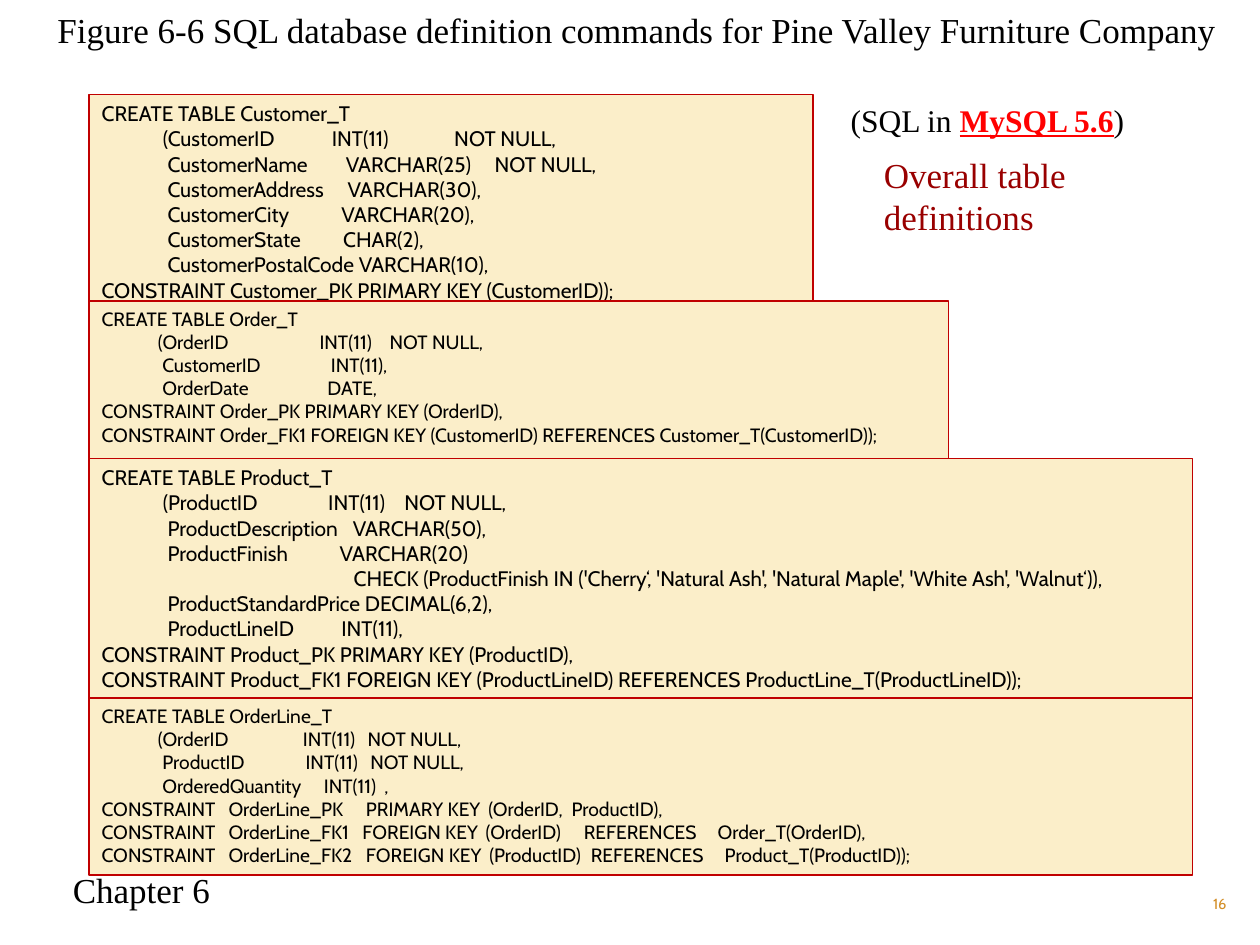
from pptx import Presentation
from pptx.dml.color import RGBColor
from pptx.enum.shapes import MSO_SHAPE
from pptx.enum.text import MSO_ANCHOR, MSO_AUTO_SIZE, PP_ALIGN
from pptx.oxml.ns import qn
from pptx.util import Pt
from lxml.etree import SubElement

COLORS = {
    "black": "000000", "red": "FF0000", "maroon": "990000",
    "amber": "D38E27", "cream": "FBEEC9", "border": "C00000",
}
SERIF, SANS = "Times New Roman", "Cabin"
TITLE = "Figure 6-6 SQL database definition commands for Pine Valley Furniture Company"

# Each line of SQL is followed by its tab stops
CUSTOMER_SQL = [
    ("CREATE TABLE Customer_T",),
    ("             (CustomerID\tINT(11)\tNOT NULL,", 131.5, 201.5),
    ("              CustomerName\tVARCHAR(25)\tNOT NULL,", 139.5, 224.5),
    ("              CustomerAddress\tVARCHAR(30),", 140.5),
    ("              CustomerCity\tVARCHAR(20),", 137),
    ("              CustomerState\tCHAR(2),", 138),
    ("              CustomerPostalCode VARCHAR(10),",),
    ("CONSTRAINT Customer_PK PRIMARY KEY (CustomerID));",),
]
ORDER_SQL = [
    ("CREATE TABLE Order_T",),
    ("             (OrderID\tINT(11)\tNOT NULL,", 124.5, 164.5),
    ("              CustomerID\tINT(11),", 131),
    ("              OrderDate\tDATE,", 129),
    ("CONSTRAINT Order_PK PRIMARY KEY (OrderID),",),
    ("CONSTRAINT Order_FK1 FOREIGN KEY (CustomerID) REFERENCES Customer_T(CustomerID));",),
]
PRODUCT_SQL = [
    ("CREATE TABLE Product_T",),
    ("             (ProductID\tINT(11)\tNOT NULL,", 129.5, 173),
    ("              ProductDescription\tVARCHAR(50),", 143.5),
    ("              ProductFinish\tVARCHAR(20)", 136),
    ("\t\tCHECK (ProductFinish IN ('Cherry‘, 'Natural Ash', 'Natural Maple', "
     "'White Ash', 'Walnut‘)),", 72, 144),
    ("              ProductStandardPrice DECIMAL(6,2),",),
    ("              ProductLineID\tINT(11),", 137),
    ("CONSTRAINT Product_PK PRIMARY KEY (ProductID),",),
    ("CONSTRAINT Product_FK1 FOREIGN KEY (ProductLineID) "
     "REFERENCES ProductLine_T(ProductLineID));",),
]
ORDER_LINE_SQL = [
    ("CREATE TABLE OrderLine_T",),
    ("             (OrderID\tINT(11)\tNOT NULL,", 115, 152),
    ("              ProductID\tINT(11)\tNOT NULL,", 116.5, 153.5),
    ("              OrderedQuantity\tINT(11)\t,", 127, 161.5),
    ("CONSTRAINT\tOrderLine_PK\tPRIMARY KEY\t(OrderID,\tProductID),",
     72.5, 151, 221, 268.5),
    ("CONSTRAINT\tOrderLine_FK1\tFOREIGN KEY\t(OrderID)\tREFERENCES\tOrder_T(OrderID),",
     72.5, 149, 219.5, 275.5, 352),
    ("CONSTRAINT\tOrderLine_FK2\tFOREIGN KEY\t(ProductID)\tREFERENCES\tProduct_T(ProductID));",
     72.5, 151, 221.5, 279.5, 356),
]
# Width, height, text size, SQL; the panels stack without gaps
PANELS = [
    (413.5, 118, 12, CUSTOMER_SQL),
    (491, 90, 11, ORDER_SQL),
    (630.5, 137, 12, PRODUCT_SQL),
    (630.5, 101, 11, ORDER_LINE_SQL),
]
PANEL_LEFT, PANEL_TOP = 51, 54

# Left, top, width, height, paragraph format, runs of (text, size, font, color, emphasis)
LABELS = [
    ((34.5, 493, 93, 32), {"alignment": PP_ALIGN.LEFT},
     [("Chapter 6", 20, SERIF, "black", False)]),
    ((648, 510, 60, 19.5), {"alignment": PP_ALIGN.RIGHT, "line_spacing": 0.8},
     [("16", 8.4, SANS, "amber", False)]),
    ((498, 84, 150, 55.5), {"alignment": PP_ALIGN.LEFT},
     [("Overall table definitions", 20, SERIF, "maroon", False)]),
    ((477.5, 54, 172, 29), {"alignment": PP_ALIGN.RIGHT},
     [("(SQL in ", 18, SERIF, "black", False),
      ("MySQL 5.6", 18, SERIF, "red", True),
      (")", 18, SERIF, "black", False)]),
]


def rgb(name):
    return RGBColor.from_string(COLORS[name])


def set_attributes(target, values):
    for name, value in values.items():
        setattr(target, name, value)


def prepare_frame(frame):
    set_attributes(frame, {
        "word_wrap": True, "auto_size": MSO_AUTO_SIZE.NONE,
        "vertical_anchor": MSO_ANCHOR.TOP,
        "margin_left": Pt(7.2), "margin_right": Pt(7.2),
        "margin_top": Pt(3.6), "margin_bottom": Pt(3.6),
    })


def add_run(paragraph, text, size, font, color, emphasis=False):
    run = paragraph.add_run()
    run.text = text
    set_attributes(run.font, {"size": Pt(size), "name": font,
                              "bold": emphasis, "underline": emphasis})
    run.font.color.rgb = rgb(color)


def add_tab_stops(paragraph, stops):
    if stops:
        tab_list = SubElement(paragraph._p.get_or_add_pPr(), qn("a:tabLst"))
        for stop in stops:
            SubElement(tab_list, qn("a:tab"), pos=str(int(Pt(stop))), algn="l")


def add_title(slide):
    title = slide.shapes.title
    set_attributes(title, {"left": Pt(8), "top": Pt(1.5),
                           "width": Pt(712), "height": Pt(32)})
    prepare_frame(title.text_frame)
    paragraph = title.text_frame.paragraphs[0]
    paragraph.alignment = PP_ALIGN.CENTER
    add_run(paragraph, TITLE, 20, SERIF, "black")


def add_label(slide, box, paragraph_format, runs):
    frame = slide.shapes.add_textbox(*map(Pt, box)).text_frame
    prepare_frame(frame)
    paragraph = frame.paragraphs[0]
    set_attributes(paragraph, paragraph_format)
    for run in runs:
        add_run(paragraph, *run)


def add_panel(slide, top, width, height, size, sql):
    panel = slide.shapes.add_shape(
        MSO_SHAPE.RECTANGLE, Pt(PANEL_LEFT), Pt(top), Pt(width), Pt(height))
    panel.shadow.inherit = False
    panel.fill.solid()
    panel.fill.fore_color.rgb = rgb("cream")
    panel.line.color.rgb = rgb("border")
    panel.line.width = Pt(1)
    frame = panel.text_frame
    prepare_frame(frame)
    for index, (text, *stops) in enumerate(sql):
        paragraph = frame.add_paragraph() if index else frame.paragraphs[0]
        paragraph.alignment = PP_ALIGN.LEFT
        add_tab_stops(paragraph, stops)
        add_run(paragraph, text, size, SANS, "black")


def main():
    presentation = Presentation()
    set_attributes(presentation, {"slide_width": Pt(720), "slide_height": Pt(540)})
    slide = presentation.slides.add_slide(presentation.slide_layouts[5])
    add_title(slide)
    for label in LABELS:
        add_label(slide, *label)
    top = PANEL_TOP
    for width, height, size, sql in PANELS:
        add_panel(slide, top, width, height, size, sql)
        top += height
    presentation.save("out.pptx")


if __name__ == "__main__":
    main()
